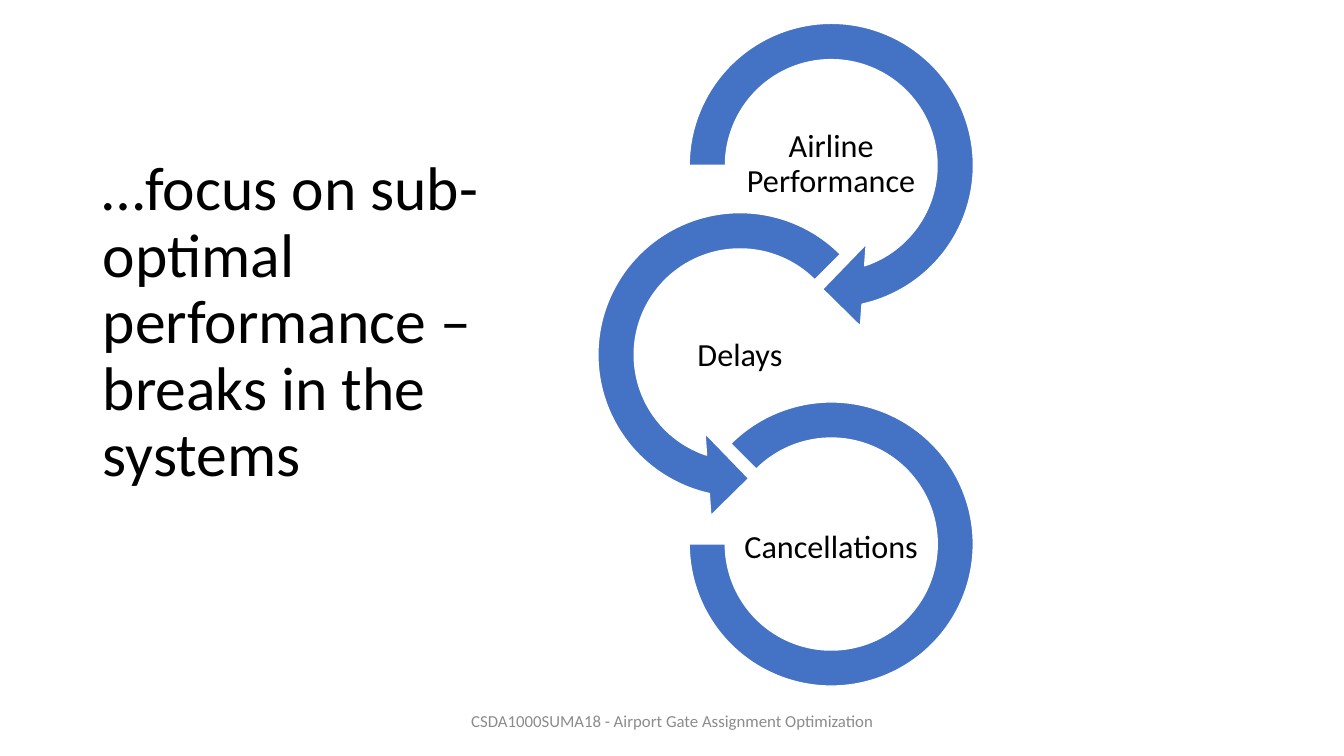
from pptx import Presentation
from pptx.dml.color import RGBColor
from pptx.enum.shapes import MSO_SHAPE
from pptx.enum.text import MSO_ANCHOR, PP_ALIGN
from pptx.util import Cm, Pt

MIDDLE = MSO_ANCHOR.MIDDLE
LEFT, CENTER = PP_ALIGN.LEFT, PP_ALIGN.CENTER
RIGHT_TURN = MSO_SHAPE.CIRCULAR_ARROW
LEFT_TURN = MSO_SHAPE.LEFT_CIRCULAR_ARROW
ARC = MSO_SHAPE.BLOCK_ARC

COLORS = {"text": "000000", "footer": "8C8C8C", "ring": "4472C4", "edge": "FFFFFF"}
FONT = "Calibri"

# Ring centres and label centres step down the slide at slightly different pitches.
RING_TOP, RING_PITCH = 4.17, 4.77
LABEL_TOP, LABEL_PITCH = 4.15, 4.83
LABEL_WIDTH, LABEL_HEIGHT = 4.62, 2.31

# label, ring shape, centre x (cm), diameter (cm), adjustments
STAGES = [
    ("Airline Performance", RIGHT_TURN, 20.95, 8.33, (0.11, 11.42, 45, 108, 0.125)),
    ("Delays", LEFT_TURN, 18.65, 8.33, (0.11, 11.42, 63, 189, 0.125)),
    ("Cancellations", ARC, 20.95, 7.16, (135, 108, 0.127)),
]


def color(name):
    return RGBColor.from_string(COLORS[name])


def add_text(slide, text, box, size, align=CENTER, ink="text", spacing=0.9, inset=None):
    """Add a wrapped, vertically centred text; box is left, top, width, height in cm."""
    frame = slide.shapes.add_textbox(*(Cm(length) for length in box)).text_frame
    frame.word_wrap = True
    frame.vertical_anchor = MIDDLE
    if inset is not None:
        frame.margin_left = frame.margin_right = Cm(inset)
        frame.margin_top = frame.margin_bottom = Cm(inset)
    paragraph = frame.paragraphs[0]
    paragraph.text = text
    paragraph.alignment = align
    paragraph.line_spacing = spacing
    paragraph.font.name = FONT
    paragraph.font.size = Pt(size)
    paragraph.font.color.rgb = color(ink)


def add_ring(slide, kind, center_x, center_y, diameter, adjustments):
    ring = slide.shapes.add_shape(
        kind,
        Cm(center_x - diameter / 2),
        Cm(center_y - diameter / 2),
        Cm(diameter),
        Cm(diameter),
    )
    for index, value in enumerate(adjustments):
        ring.adjustments[index] = value
    ring.shadow.inherit = False
    ring.fill.solid()
    ring.fill.fore_color.rgb = color("ring")
    ring.line.color.rgb = color("edge")
    ring.line.width = Pt(1)


def add_stage(slide, step, label, kind, center_x, diameter, adjustments):
    """Add one ring of the chain with its label in the middle."""
    add_ring(slide, kind, center_x, RING_TOP + step * RING_PITCH, diameter, adjustments)
    label_y = LABEL_TOP + step * LABEL_PITCH
    label_box = (
        center_x - LABEL_WIDTH / 2,
        label_y - LABEL_HEIGHT / 2,
        LABEL_WIDTH,
        LABEL_HEIGHT,
    )
    add_text(slide, label, label_box, 23, inset=0.05)


def main():
    deck = Presentation()
    deck.slide_width, deck.slide_height = Cm(33.87), Cm(19.05)
    slide = deck.slides.add_slide(deck.slide_layouts[6])

    add_text(
        slide,
        "…focus on sub-optimal performance – breaks in the systems",
        (2.34, 1.02, 11.18, 14.27),
        44,
        align=LEFT,
    )
    add_text(
        slide,
        "CSDA1000SUMA18 - Airport Gate Assignment Optimization",
        (11.23, 17.65, 11.43, 1.02),
        12,
        ink="footer",
        spacing=1.0,
    )
    for step, stage in enumerate(STAGES):
        add_stage(slide, step, *stage)

    deck.save("out.pptx")


if __name__ == "__main__":
    main()
